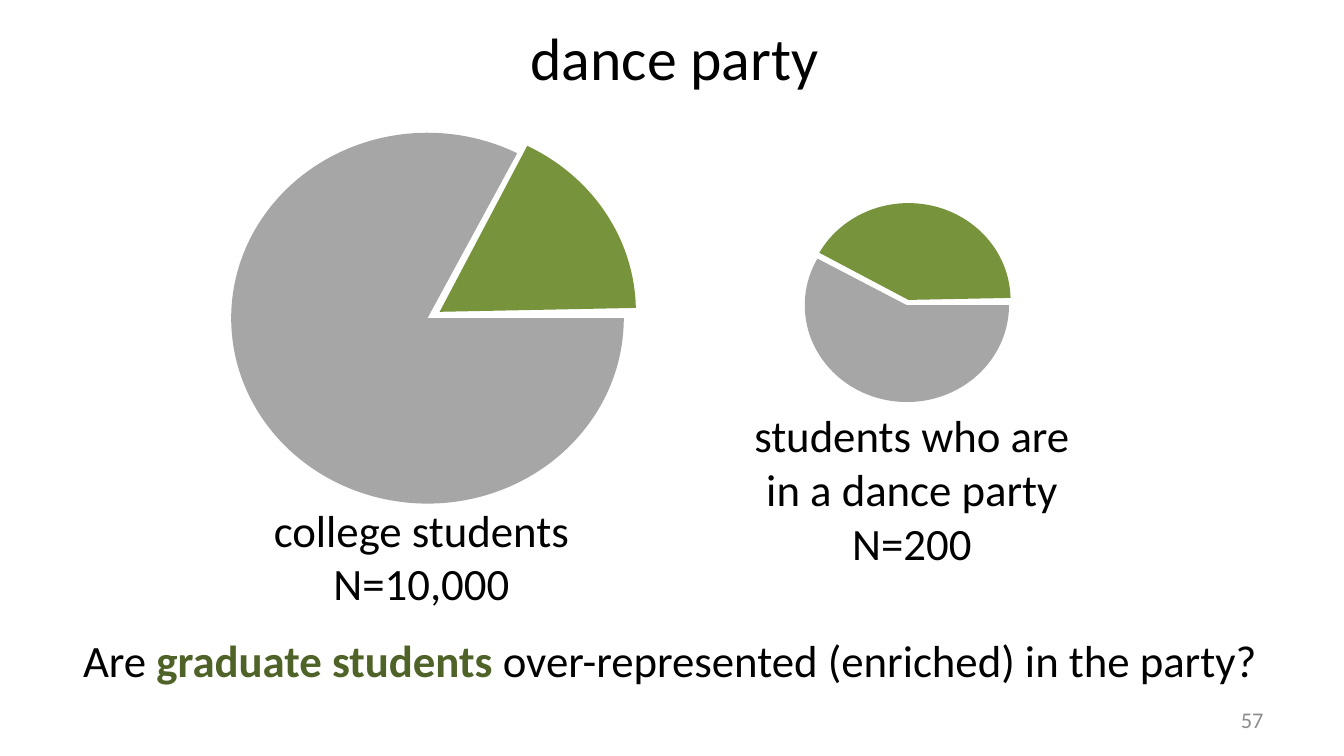
import pptx
import pptx.dml.color
import pptx.enum.shapes
import pptx.enum.text
import pptx.util

Cm = pptx.util.Cm
ALIGN = pptx.enum.text.PP_ALIGN
ANCHOR = pptx.enum.text.MSO_ANCHOR

BLACK = "000000"
GRAY = "A6A6A6"
GREEN = "77933C"
DARK_GREEN = "4F6228"
NUMBER_GRAY = "8C8C8C"


def color(hex_string):
    return pptx.dml.color.RGBColor.from_string(hex_string)


class SlideBuilder:
    font_name = "Calibri"

    def __init__(self, slide):
        self.slide = slide

    def text(self, left, top, width, height, lines, size=24, text_color=BLACK,
             align=ALIGN.CENTER, anchor=ANCHOR.TOP, wrap=True):
        """Each line is a list of (text, highlight color or None)."""
        box = self.slide.shapes.add_textbox(Cm(left), Cm(top), Cm(width), Cm(height))
        frame = box.text_frame
        frame.word_wrap = wrap
        frame.vertical_anchor = anchor
        for index, line in enumerate(lines):
            paragraph = frame.add_paragraph() if index else frame.paragraphs[0]
            paragraph.alignment = align
            paragraph.font.name = self.font_name
            paragraph.font.size = pptx.util.Pt(size)
            paragraph.font.color.rgb = color(text_color)
            for words, highlight in line:
                run = paragraph.add_run()
                run.text = words
                if highlight:
                    run.font.bold = True
                    run.font.color.rgb = color(highlight)

    def pie_slice(self, left, top, width, height, start, end, fill):
        """Angles are in degrees, clockwise from three o'clock."""
        shape = self.slide.shapes.add_shape(
            pptx.enum.shapes.MSO_SHAPE.PIE, Cm(left), Cm(top), Cm(width), Cm(height))
        for index, angle in enumerate((start, end)):
            shape.adjustments[index] = angle * 0.6  # 60000 units per degree / 100000
        shape.fill.solid()
        shape.fill.fore_color.rgb = color(fill)
        shape.line.fill.background()
        shape.shadow.inherit = False


def main():
    presentation = pptx.Presentation()
    presentation.slide_width = Cm(25.4)
    presentation.slide_height = Cm(14.29)
    builder = SlideBuilder(presentation.slides.add_slide(presentation.slide_layouts[6]))

    # Title
    builder.text(1.32, 0.13, 22.86, 1.88, [[("dance party", None)]],
                 size=32, anchor=ANCHOR.MIDDLE)

    # All college students
    builder.pie_slice(4.37, 2.51, 7.42, 7.01, 0, 298.53, GRAY)
    builder.pie_slice(4.6, 2.39, 7.42, 7.01, 297.83, 358.87, GREEN)

    # Students in the party
    builder.pie_slice(15.21, 3.94, 3.86, 3.66, 0, 207.52, GRAY)
    builder.pie_slice(15.24, 3.84, 3.86, 3.66, 207.89, 358.87, GREEN)

    # Pie captions
    builder.text(4.88, 9.37, 6.17, 2.31,
                 [[("college students", None)], [("N=10,000", None)]], wrap=False)
    builder.text(13.92, 7.59, 6.63, 3.33,
                 [[("students who are in a dance party", None)], [("N=200", None)]])

    # Question
    builder.text(1.32, 11.84, 23.55, 1.27,
                 [[("Are ", None), ("graduate students ", DARK_GREEN),
                   ("over-represented (enriched) in the party?", None)]],
                 align=ALIGN.LEFT)

    # Slide number
    builder.text(18.21, 13.23, 5.92, 0.76, [[("57", None)]], size=12,
                 text_color=NUMBER_GRAY, align=ALIGN.RIGHT, anchor=ANCHOR.MIDDLE)

    presentation.save("out.pptx")


if __name__ == "__main__":
    main()
